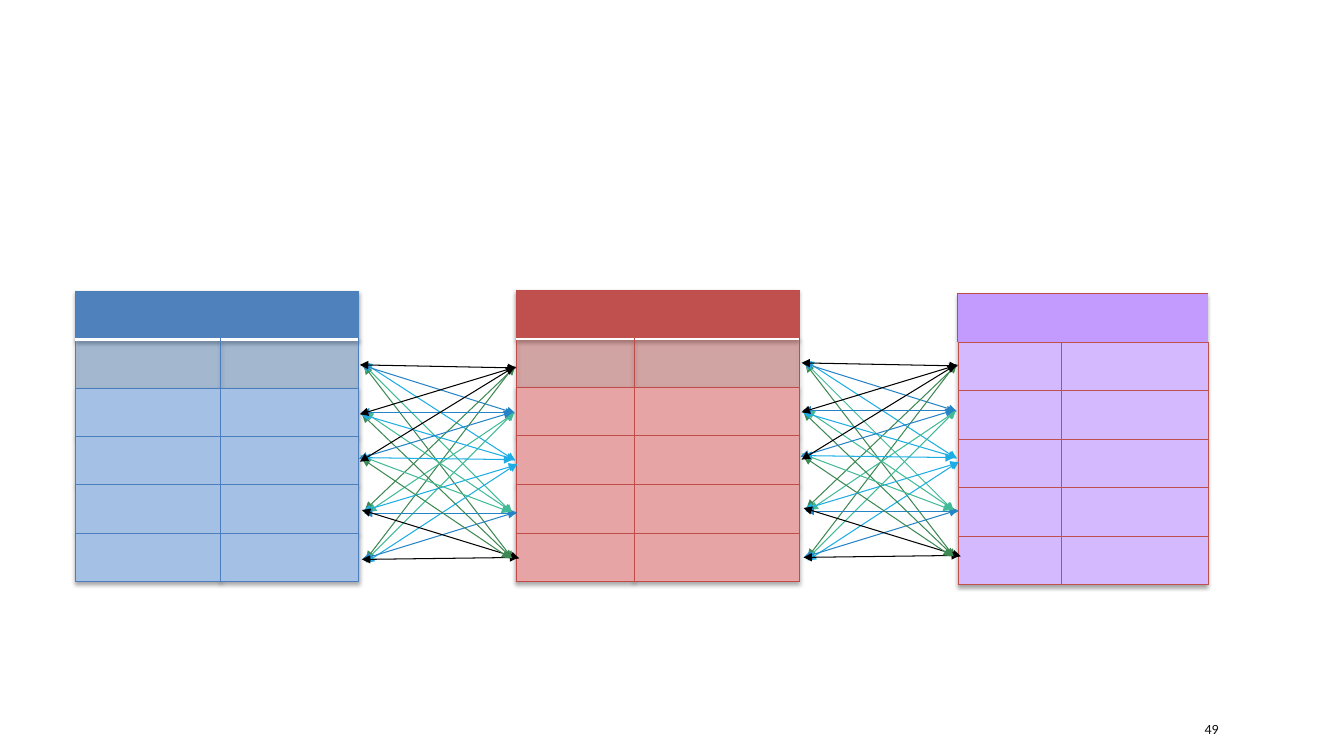
from lxml.etree import SubElement
from pptx import Presentation
from pptx.dml.color import RGBColor
from pptx.enum.shapes import MSO_CONNECTOR
from pptx.enum.text import MSO_ANCHOR
from pptx.oxml.ns import qn
from pptx.util import Pt

# Content: lengths in px, 100 to the inch
PX = 9144
WIDTH, HEIGHT = 1333, 750
ROWS = 6
PAGE = {"text": "49", "box": (1185, 708, 106, 30)}
PAGE_FONT = {"name": "Calibri", "size": Pt(10)}
PAGE_COLOR = "0D0D0D"

TABLES = [
    {"at": (75, 289), "height": 288, "cols": (144, 137), "merge": True,
     "header": "4F81BD", "first": ("4F81BD", 40), "body": "A5C0E5",
     "edge": ("4B7EBC", 0.75), "outer": ("4B7EBC", 0.75), "rule": ("FFFFFF", 2)},
    {"at": (512, 288), "height": 289, "cols": (117, 164), "merge": False,
     "header": "C0504D", "first": ("C0504D", 40), "body": "E6A5A4",
     "edge": ("BF4C48", 0.75), "outer": ("BF4C48", 0.75), "rule": ("FFFFFF", 2)},
    {"at": (950, 291), "height": 289, "cols": (103, 145), "merge": False,
     "header": "C39BFF", "first": ("D5B9FF", 100), "body": "D5B9FF",
     "edge": ("C0504D", 0.5), "outer": ("BF4C48", 0.75), "rule": ("C0504D", 0.5)},
]

# Each fan joins one left row to all five right rows, one arrow per colour
ARROW_COLORS = ("3E8853", "42BA97", "1CADE4", "2683C6", "000000")
FANS = [
    [(361, 363, 509, 555), (360, 361, 508, 509), (361, 360, 511, 457),
     (358, 362, 511, 410), (357, 362, 512, 365)],
    [(363, 555, 510, 363), (362, 557, 510, 409), (363, 558, 513, 460),
     (359, 555, 512, 508), (359, 555, 514, 553)],
    [(362, 506, 511, 364), (365, 508, 510, 410), (360, 507, 513, 461),
     (361, 509, 513, 509), (359, 506, 515, 554)],
    [(359, 411, 508, 554), (362, 409, 508, 508), (358, 411, 511, 456),
     (358, 409, 510, 409), (357, 411, 512, 364)],
    [(359, 455, 506, 554), (357, 452, 506, 508), (359, 454, 508, 456),
     (356, 455, 508, 409), (357, 458, 510, 364)],
]
FAN_SHIFTS = [(0, 0), (438, -2)]


def px(*values):
    return [v * PX for v in values]


def rgb(value):
    return RGBColor.from_string(value)


def add_border(tcPr, side, line):
    ln = SubElement(tcPr, qn("a:ln" + side))
    if line is None:
        ln.set("w", "0")
        SubElement(ln, qn("a:noFill"))
        return
    color, width = line
    ln.set("w", str(Pt(width)))
    fill = SubElement(ln, qn("a:solidFill"))
    SubElement(fill, qn("a:srgbClr"), val=color)


def fill_cell(cell, color, alpha=100):
    cell.fill.solid()
    cell.fill.fore_color.rgb = rgb(color)
    if alpha < 100:
        clr = cell._tc.tcPr.find(qn("a:solidFill")).find(qn("a:srgbClr"))
        SubElement(clr, qn("a:alpha"), val=str(alpha * 1000))


def cell_borders(t, row, col):
    edge = t["edge"]
    if row == 0:
        return {"L": None if col else t["outer"], "R": None,
                "T": t["outer"], "B": t["rule"]}
    return {"L": edge, "R": edge, "T": t["rule"] if row == 1 else edge, "B": edge}


def add_shadow(tbl):
    effects = SubElement(tbl.tblPr, qn("a:effectLst"))
    shadow = SubElement(effects, qn("a:outerShdw"), blurRad="40000", dist="23000",
                        dir="5400000", rotWithShape="0")
    clr = SubElement(shadow, qn("a:srgbClr"), val="000000")
    SubElement(clr, qn("a:alpha"), val="35000")


def add_grid(slide, t):
    frame = slide.shapes.add_table(ROWS, len(t["cols"]),
                                   *px(*t["at"], sum(t["cols"]), t["height"]))
    table = frame.table
    for name, value in {"first_row": False, "horz_banding": False}.items():
        setattr(table, name, value)
    for column, width in zip(table.columns, t["cols"]):
        column.width = width * PX
    for r in range(ROWS):
        fill = {0: (t["header"],), 1: t["first"]}.get(r, (t["body"],))
        for c in range(len(t["cols"])):
            cell = table.cell(r, c)
            tcPr = cell._tc.get_or_add_tcPr()
            for side, line in cell_borders(t, r, c).items():
                add_border(tcPr, side, line)
            fill_cell(cell, *fill)
    if t["merge"]:
        table.cell(0, 0).merge(table.cell(0, len(t["cols"]) - 1))
    # The shadow goes in ahead of the style id
    style_id = table._tbl.tblPr.find(qn("a:tableStyleId"))
    add_shadow(table._tbl)
    if style_id is not None:
        table._tbl.tblPr.append(style_id)


def add_arrow(shapes, ends, color):
    line = shapes.add_connector(MSO_CONNECTOR.STRAIGHT, *px(*ends))
    line.line.color.rgb = rgb(color)
    line.line.width = Pt(0.75)
    ln = line.line._get_or_add_ln()
    for end in ("a:headEnd", "a:tailEnd"):
        SubElement(ln, qn(end), type="triangle")
    SubElement(line._element.spPr, qn("a:effectLst"))


def add_page_number(slide):
    tf = slide.shapes.add_textbox(*px(*PAGE["box"])).text_frame
    for name, value in {"word_wrap": True, "vertical_anchor": MSO_ANCHOR.MIDDLE}.items():
        setattr(tf, name, value)
    r = tf.paragraphs[0].add_run()
    r.text = PAGE["text"]
    for name, value in PAGE_FONT.items():
        setattr(r.font, name, value)
    r.font.color.rgb = rgb(PAGE_COLOR)


def main():
    prs = Presentation()
    prs.slide_width, prs.slide_height = px(WIDTH, HEIGHT)
    slide = prs.slides.add_slide(prs.slide_layouts[6])

    add_page_number(slide)

    # Three tables
    for t in TABLES:
        add_grid(slide, t)

    # Arrows between neighbouring tables, one group per fan
    for dx, dy in FAN_SHIFTS:
        for fan in FANS:
            group = slide.shapes.add_group_shape()
            for (x1, y1, x2, y2), color in zip(fan, ARROW_COLORS):
                add_arrow(group.shapes, (x1 + dx, y1 + dy, x2 + dx, y2 + dy), color)

    prs.save("out.pptx")


if __name__ == "__main__":
    main()
